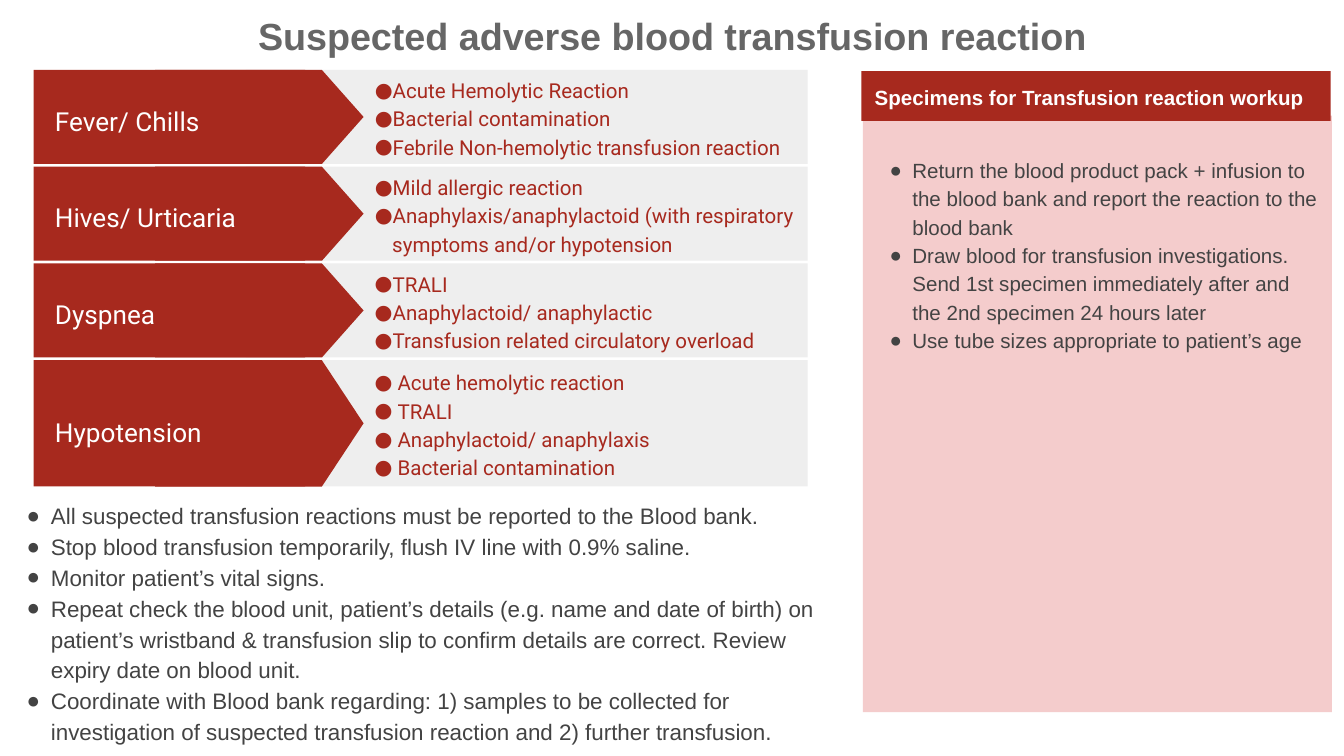
from lxml import etree
from pptx import Presentation
from pptx import util as u
from pptx.dml.color import RGBColor
from pptx.enum import shapes, text
from pptx.oxml import ns

RED, PINK, PALE = "A7291E", "F4CCCC", "EEEEEE"
DARK, GREY, WHITE = "434343", "666666", "FFFFFF"

# Widescreen slide, 16:9
presentation = Presentation()
presentation.slide_width = u.Inches(10)
presentation.slide_height = u.Inches(10 * 9 / 16)
slide = presentation.slides.add_slide(presentation.slide_layouts[6])


def add_box(kind, left, top, width, height, fill=None, rotation=0):
    """Add a plain filled shape, or a text box when there is no fill."""
    place = [u.Inches(length) for length in (left, top, width, height)]
    if fill is None:
        return slide.shapes.add_textbox(*place)
    shape = slide.shapes.add_shape(kind, *place)
    shape.shadow.inherit = False
    shape.fill.solid()
    shape.fill.fore_color.rgb = RGBColor.from_string(fill)
    shape.line.fill.background()
    shape.rotation = rotation
    return shape


def write(shape, lines, size, color, font="Arial", bold=False, spacing=1.15,
          anchor="MIDDLE", align="LEFT", insets=(0.1, 0.1, 0.1, 0.1), bullet=None):
    """Fill a shape with paragraphs; bullet is (left margin, hanging indent)."""
    frame = shape.text_frame
    frame.word_wrap = True
    frame.vertical_anchor = text.MSO_ANCHOR[anchor]
    (frame.margin_left, frame.margin_top,
     frame.margin_right, frame.margin_bottom) = [u.Inches(inset) for inset in insets]
    for index, line in enumerate(lines):
        paragraph = frame.paragraphs[0] if index == 0 else frame.add_paragraph()
        paragraph.text = line
        paragraph.alignment = text.PP_ALIGN[align]
        paragraph.line_spacing = spacing
        if bullet:
            properties = paragraph._p.get_or_add_pPr()
            properties.set("marL", str(u.Inches(bullet[0])))
            properties.set("indent", str(-u.Inches(bullet[1])))
            bullet_color = etree.SubElement(properties, ns.qn("a:buClr"))
            etree.SubElement(bullet_color, ns.qn("a:srgbClr"), val=color)
            etree.SubElement(properties, ns.qn("a:buFont"), typeface=font)
            etree.SubElement(properties, ns.qn("a:buChar"), char="●")
        paragraph.font.name = font
        paragraph.font.size = u.Pt(size)
        paragraph.font.bold = bold
        paragraph.font.color.rgb = RGBColor.from_string(color)


RECTANGLE = shapes.MSO_SHAPE.RECTANGLE
ARROW = shapes.MSO_SHAPE.FLOWCHART_OFFPAGE_CONNECTOR

# Title
write(add_box(RECTANGLE, 0.34, -0.05, 9.32, 0.63),
      ["Suspected adverse blood transfusion reaction"],
      20.2, GREY, bold=True, spacing=1, align="CENTER")

# Actions to take
write(add_box(RECTANGLE, 0.09, 3.63, 6.25, 1.99), [
    "All suspected transfusion reactions must be reported to the Blood bank.",
    "Stop blood transfusion temporarily, flush IV line with 0.9% saline.",
    "Monitor patient’s vital signs.",
    "Repeat check the blood unit, patient’s details (e.g. name and date of birth) on "
    "patient’s wristband & transfusion slip to confirm details are correct. "
    "Review expiry date on blood unit.",
    "Coordinate with Blood bank regarding: 1) samples to be collected for "
    "investigation of suspected transfusion reaction and 2) further transfusion.",
], 12, DARK, insets=(0.1, 0.06, 0.02, 0.06), bullet=(0.19, 0.18))

# Symptom rows: label, row height, label shift, causes width, bullet indents, causes
rows = [
    ("Fever/ Chills", 0.7, 0.01, 3.62, (0.27, 0.13),
     ["Acute Hemolytic Reaction", "Bacterial contamination",
      "Febrile Non-hemolytic transfusion reaction"]),
    ("Hives/ Urticaria", 0.7, 0.01, 3.62, (0.27, 0.13),
     ["Mild allergic reaction",
      "Anaphylaxis/anaphylactoid (with respiratory symptoms and/or hypotension"]),
    ("Dyspnea", 0.7, 0.01, 3.46, (0.27, 0.13),
     ["TRALI", "Anaphylactoid/ anaphylactic",
      "Transfusion related circulatory overload"]),
    ("Hypotension", 0.94, 0.05, 3.46, (0.31, 0.17),
     ["Acute hemolytic reaction", "TRALI", "Anaphylactoid/ anaphylaxis",
      "Bacterial contamination"]),
]
top, row_gap = 0.52, 0.02
arrow_center, arrow_length, label_height = 1.93, 1.55, 0.54
for label, height, shift, causes_width, indents, causes in rows:
    middle = top + height / 2
    add_box(RECTANGLE, 1.83, top, 4.18, height, PALE)
    add_box(RECTANGLE, 0.25, top, 2.02, height, RED)
    add_box(ARROW, arrow_center - height / 2, middle - arrow_length / 2,
            height, arrow_length, RED, rotation=270)
    write(add_box(RECTANGLE, 0.31, middle + shift - label_height / 2, 2.12, label_height),
          [label], 14, WHITE, font="Roboto")
    write(add_box(RECTANGLE, 2.55, top, causes_width, height),
          causes, 11, RED, font="Roboto", bullet=indents)
    top += height + row_gap

# Specimen panel
write(add_box(RECTANGLE, 6.42, 0.86, 3.49, 4.44, PINK), [
    "Return the blood product pack + infusion to the blood bank and report "
    "the reaction to the blood bank",
    "Draw blood for transfusion investigations. Send 1st specimen immediately "
    "after and the 2nd specimen 24 hours later",
    "Use tube sizes appropriate to patient’s age",
], 11, DARK, anchor="TOP", insets=(0.1, 0.29, 0.1, 0.1), bullet=(0.27, 0.17))
write(add_box(RECTANGLE, 6.41, 0.53, 3.49, 0.37, RED),
      ["Specimens for Transfusion reaction workup"],
      11, WHITE, bold=True, spacing=1, anchor="TOP")

presentation.save("out.pptx")
